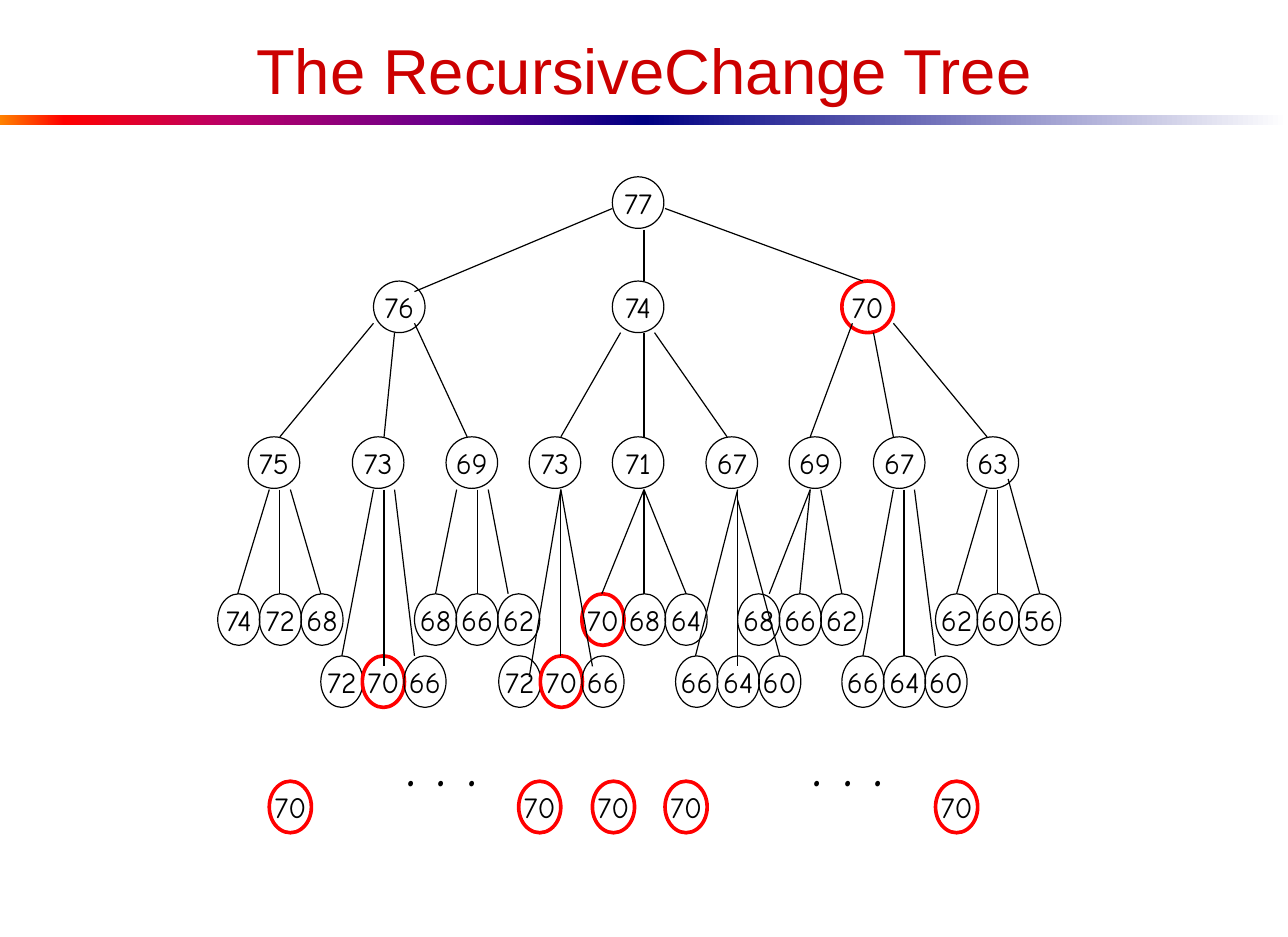
from lxml import etree
from pptx import Presentation
from pptx.dml.color import RGBColor
from pptx.enum.shapes import MSO_CONNECTOR, MSO_SHAPE
from pptx.enum.text import MSO_ANCHOR, MSO_AUTO_SIZE, PP_ALIGN
from pptx.oxml.ns import qn
from pptx.util import Inches, Pt

OVAL, RECT = MSO_SHAPE.OVAL, MSO_SHAPE.RECTANGLE
LINE = MSO_CONNECTOR.STRAIGHT
MID, TOP = MSO_ANCHOR.MIDDLE, MSO_ANCHOR.TOP
CENTER, RIGHT = PP_ALIGN.CENTER, PP_ALIGN.RIGHT
NOFIT = MSO_AUTO_SIZE.NONE

COLORS = {
    "title": "CC0000", "ink": "000000", "hit": "FF0000",
    "orange": "FF8200", "plum": "BA0066", "violet": "66008F",
    "navy": "000082", "white": "FFFFFF",
}
BODY = "Comic Neue"
COINS = (1, 3, 7)
HIT = 70
BIG, SMALL, HIGH = 0.44, 0.36, 0.44
STEP = 0.355


def write(shape, text, size, font=BODY, color="ink", align=CENTER, anchor=MID, wrap=True):
    frame = shape.text_frame
    frame.auto_size = NOFIT
    frame.word_wrap = wrap
    frame.vertical_anchor = anchor
    para = frame.paragraphs[0]
    para.alignment = align
    run = para.add_run()
    run.text = text
    run.font.size = Pt(size)
    run.font.name = font
    run.font.color.rgb = RGBColor.from_string(COLORS[color])


def node(value, left, top, width):
    """Draw one amount of the tree, ringed in red when it is the repeated one."""
    oval = slide.shapes.add_shape(OVAL, Inches(left), Inches(top), Inches(width), Inches(HIGH))
    oval.shadow.inherit = False
    oval.fill.background()
    hit = value == HIT
    oval.line.color.rgb = RGBColor.from_string(COLORS["hit" if hit else "ink"])
    oval.line.width = Pt(2.25 if hit else 0.75)
    write(oval, str(value), 18.1, wrap=False)


prs = Presentation()
prs.slide_width, prs.slide_height = Inches(11), Inches(8)
slide = prs.slides.add_slide(prs.slide_layouts[5])

# Title and colour band
title = slide.shapes.title
title.left, title.top, title.width, title.height = map(Inches, (0.7, 0.22, 9.6, 0.74))
write(title, "The RecursiveChange Tree", 39, font="Arial", color="title")

bands = [
    (0, [(0, "orange"), (10, "hit"), (35, "plum"), (70, "violet"), (100, "navy")]),
    (5.5, [(0, "navy"), (100, "white")]),
]
for left, stops in bands:
    band = slide.shapes.add_shape(RECT, Inches(left), Inches(0.98), Inches(5.5), Inches(0.09))
    band.shadow.inherit = False
    band.line.fill.background()
    band.fill.gradient()
    band.fill.gradient_angle = 0
    ramp = next(band._element.spPr.iter(qn("a:gsLst")))
    for old in list(ramp):
        ramp.remove(old)
    for pos, name in stops:
        stop = etree.SubElement(ramp, qn("a:gs"), pos=str(pos * 1000))
        etree.SubElement(stop, qn("a:srgbClr"), val=COLORS[name])

# Tree: each child is its parent less one coin
ROOT = 77
node(ROOT, 5.23, 1.51, BIG)
kids = [ROOT - coin for coin in COINS]
for value, left in zip(kids, (3.19, 5.23, 7.19)):
    node(value, left, 2.4, BIG)

thirds = [kid - coin for kid in kids for coin in COINS]
lefts = (2.12, 3.01, 3.81, 4.52, 5.23, 6.03, 6.74, 7.46, 8.26)
leaves = (1.86, 2.74, 3.54, 4.26, 4.97, 5.77, 6.3, 7.19, 7.99)
for i, (value, left, leaf) in enumerate(zip(thirds, lefts, leaves)):
    node(value, left, 3.73, BIG)
    for j, coin in enumerate(COINS):
        node(value - coin, leaf + j * STEP, (5.07, 5.6)[i % 2], SMALL)

# Edges, three to a parent: x and y of the start, then of the end
edges = [
    (5.23, 1.78, 3.54, 2.49), (5.5, 1.96, 5.5, 2.4), (5.68, 1.78, 7.37, 2.4),

    (3.19, 2.76, 2.39, 3.73), (3.37, 2.84, 3.28, 3.73), (3.54, 2.76, 3.99, 3.73),
    (5.3, 2.84, 4.79, 3.73), (5.5, 2.84, 5.5, 3.73), (5.59, 2.84, 6.21, 3.73),
    (7.28, 2.76, 6.92, 3.73), (7.46, 2.84, 7.63, 3.73), (7.63, 2.76, 8.43, 3.73),

    (2.3, 4.18, 2.03, 5.07), (2.39, 4.18, 2.39, 5.07), (2.48, 4.18, 2.74, 5.07),
    (3.19, 4.18, 2.92, 5.6), (3.28, 4.18, 3.28, 5.69), (3.37, 4.18, 3.54, 5.6),
    (3.9, 4.18, 3.72, 5.07), (4.08, 4.18, 4.08, 5.07), (4.17, 4.18, 4.34, 5.07),
    (4.79, 4.18, 4.52, 5.78), (4.79, 4.18, 4.79, 5.6), (4.79, 4.18, 5.06, 5.69),
    (5.5, 4.18, 5.14, 5.07), (5.5, 4.18, 5.5, 5.07), (5.5, 4.18, 5.86, 5.07),
    (6.3, 4.18, 5.94, 5.6), (6.3, 4.18, 6.3, 5.69), (6.3, 4.27, 6.66, 5.6),
    (6.92, 4.18, 6.57, 5.07), (6.92, 4.18, 6.83, 5.07), (7.01, 4.18, 7.19, 5.07),
    (7.63, 4.18, 7.37, 5.6), (7.72, 4.18, 7.72, 5.6), (7.81, 4.18, 7.99, 5.6),
    (8.43, 4.18, 8.17, 5.07), (8.52, 4.18, 8.52, 5.07), (8.61, 4.09, 8.88, 5.07),
]
for ends in edges:
    edge = slide.shapes.add_connector(LINE, *map(Inches, ends))
    edge.line.color.rgb = RGBColor.from_string(COLORS["ink"])
    edge.line.width = Pt(0.75)
    etree.SubElement(edge._element.spPr, qn("a:effectLst"))

# Repeated amounts further down
for left, width in ((3.1, 1.07), (6.66, 0.98)):
    dots = slide.shapes.add_textbox(Inches(left), Inches(6.13), Inches(width), Inches(0.75))
    write(dots, ". . .", 38.4, align=RIGHT, anchor=TOP)
for left in (2.3, 4.43, 5.06, 5.68, 7.99):
    node(HIT, left, 6.67, SMALL)

prs.save("out.pptx")
